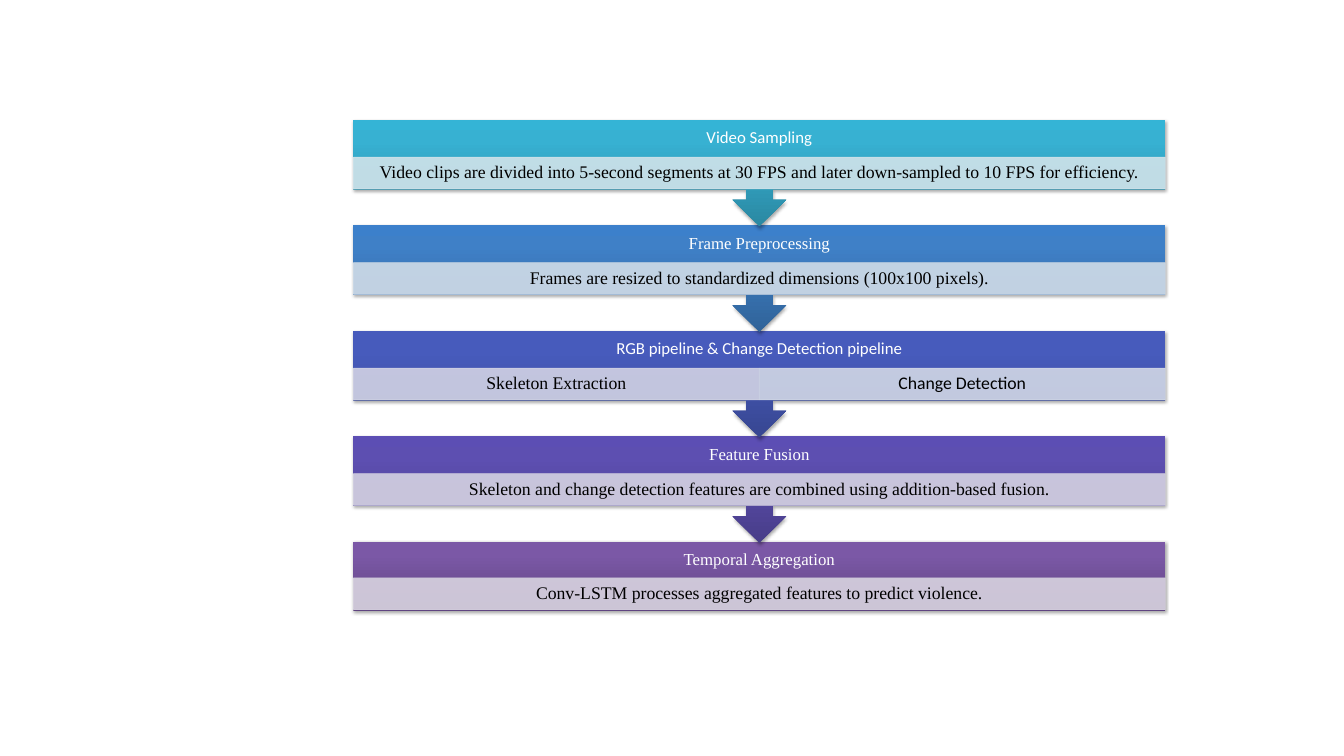
import pptx
import pptx.dml.color
import pptx.enum.shapes
import pptx.enum.text
import pptx.oxml
import pptx.oxml.ns
import pptx.util

RGB = pptx.dml.color.RGBColor
SHAPES = pptx.enum.shapes.MSO_SHAPE
SCALE = 9144  # EMU per px, 100 px to the inch

WHITE = RGB(0xFF, 0xFF, 0xFF)
BLACK = RGB(0x00, 0x00, 0x00)
CYAN = RGB(0x2A, 0x88, 0xA2), RGB(0x37, 0xB1, 0xD2), RGB(0x34, 0xB4, 0xD6)
BLUE = RGB(0x30, 0x63, 0x99), RGB(0x3F, 0x80, 0xC7), RGB(0x3C, 0x80, 0xCB)
INDIGO = RGB(0x37, 0x46, 0x91), RGB(0x47, 0x5B, 0xBC), RGB(0x45, 0x5A, 0xBF)
VIOLET = RGB(0x48, 0x3D, 0x89), RGB(0x5D, 0x4F, 0xB1), RGB(0x5C, 0x4E, 0xB4)
PURPLE = RGB(0x5F, 0x44, 0x80), RGB(0x7B, 0x58, 0xA6), RGB(0x7C, 0x57, 0xA8)
PALE_CYAN = RGB(0xD0, 0xE3, 0xEA)
PALE_BLUE = RGB(0xD0, 0xDC, 0xE8)
PALE_INDIGO = RGB(0xD1, 0xD2, 0xE4)
PALE_STEEL = RGB(0xD1, 0xD7, 0xE6)
PALE_VIOLET = RGB(0xD5, 0xD2, 0xE2)
PALE_PURPLE = RGB(0xD8, 0xD3, 0xE0)

SERIF = "Times New Roman"
SANS = "Calibri"

LEFT, TOP, WIDTH = 526, 178, 1208
PITCH = 157
CALLOUT_HEIGHT, LAST_HEIGHT = 159, 103
HEADER_HEIGHT, DETAIL_HEIGHT = 56, 47

# Heading, heading font, gradient, then details as (text, font, fill)
STEPS = [
    ("Video Sampling", SANS, CYAN, [
        ("Video clips are divided into 5-second segments at 30 FPS and later "
         "down-sampled to 10 FPS for efficiency.", SERIF, PALE_CYAN)]),
    ("Frame Preprocessing", SERIF, BLUE, [
        ("Frames are resized to standardized dimensions (100x100 pixels).",
         SERIF, PALE_BLUE)]),
    ("RGB pipeline & Change Detection pipeline", SANS, INDIGO, [
        ("Skeleton Extraction", SERIF, PALE_INDIGO),
        ("Change Detection", SANS, PALE_STEEL)]),
    ("Feature Fusion", SERIF, VIOLET, [
        ("Skeleton and change detection features are combined using "
         "addition-based fusion.", SERIF, PALE_VIOLET)]),
    ("Temporal Aggregation", SERIF, PURPLE, [
        ("Conv-LSTM processes aggregated features to predict violence.",
         SERIF, PALE_PURPLE)]),
]


class FlowPage:
    """Style and current slide of the flow chart."""

    heading_size = 18
    detail_size = 19
    opacity = 90

    def __init__(self, page):
        self.page = page

    def frame(self, *lengths):
        return [length * SCALE for length in lengths]

    def block(self, kind, left, top, width, height, colours):
        """Shaded, shadowed block, darkest at its foot."""
        block = self.page.shapes.add_shape(
            kind, *self.frame(left, top, width, height))
        block.line.fill.background()
        block.shadow.inherit = False
        stops = "".join(
            f'<a:gs pos="{position * 1000}"><a:srgbClr val="{colour}"/></a:gs>'
            for position, colour in zip((0, 80, 100), colours))
        namespace = pptx.oxml.ns.nsdecls("a")
        gradient = pptx.oxml.parse_xml(
            f'<a:gradFill {namespace} rotWithShape="0"><a:gsLst>{stops}</a:gsLst>'
            '<a:lin ang="16200000" scaled="0"/></a:gradFill>')
        shadow = pptx.oxml.parse_xml(
            f'<a:outerShdw {namespace} blurRad="40000" dist="23000" '
            'dir="5400000" rotWithShape="0"><a:srgbClr val="000000">'
            '<a:alpha val="35000"/></a:srgbClr></a:outerShdw>')
        properties = block.element.spPr
        properties.find(pptx.oxml.ns.qn("a:prstGeom")).addnext(gradient)
        properties.find(pptx.oxml.ns.qn("a:effectLst")).append(shadow)
        return block

    def heading(self, left, top, width, height, text, font):
        box = self.page.shapes.add_textbox(*self.frame(left, top, width, height))
        self.label(box, text, font, self.heading_size, WHITE, 14, 14)

    def detail(self, left, top, width, height, text, font, colour):
        box = self.page.shapes.add_shape(
            SHAPES.RECTANGLE, *self.frame(left, top, width, height))
        box.shadow.inherit = False
        box.fill.solid()
        box.fill.fore_color.rgb = colour
        box.line.color.rgb = colour
        box.line.width = pptx.util.Pt(0.75)
        for tint in box.element.spPr.iter(pptx.oxml.ns.qn("a:srgbClr")):
            tint.append(pptx.oxml.parse_xml(
                f'<a:alpha {pptx.oxml.ns.nsdecls("a")} '
                f'val="{self.opacity * 1000}"/>'))
        self.label(box, text, font, self.detail_size, BLACK, 15, 3)

    def label(self, box, text, font, size, colour, side_inset, end_inset):
        frame = box.text_frame
        frame.word_wrap = True
        frame.vertical_anchor = pptx.enum.text.MSO_ANCHOR.MIDDLE
        frame.margin_left = frame.margin_right = side_inset * SCALE
        frame.margin_top = frame.margin_bottom = end_inset * SCALE
        para = frame.paragraphs[0]
        para.alignment = pptx.enum.text.PP_ALIGN.CENTER
        para.line_spacing = 0.9
        para.space_after = pptx.util.Pt(6.3)
        span = para.add_run()
        span.text = text
        span.font.name = font
        span.font.size = pptx.util.Pt(size)
        span.font.color.rgb = colour

    def step(self, top, heading, font, colours, details, is_last):
        if is_last:
            self.block(SHAPES.RECTANGLE, LEFT, top, WIDTH, LAST_HEIGHT, colours)
        else:
            callout = self.block(SHAPES.UP_ARROW_CALLOUT, LEFT, top, WIDTH,
                                 CALLOUT_HEIGHT, colours)
            callout.rotation = 180
        self.heading(LEFT, top, WIDTH, HEADER_HEIGHT, heading, font)
        detail_top = top + HEADER_HEIGHT - (2 if is_last else 0)
        detail_width = WIDTH // len(details)
        for column, detail in enumerate(details):
            self.detail(LEFT + column * detail_width, detail_top,
                        detail_width, DETAIL_HEIGHT, *detail)


def main():
    deck = pptx.Presentation()
    deck.slide_width = 2000 * SCALE
    deck.slide_height = 1125 * SCALE
    flow = FlowPage(deck.slides.add_slide(deck.slide_layouts[6]))
    last = len(STEPS) - 1
    # Bottom step first, so each arrow tip lies over the step below it
    for index in range(last, -1, -1):
        flow.step(TOP + index * PITCH, *STEPS[index], index == last)
    deck.save("out.pptx")


if __name__ == "__main__":
    main()
